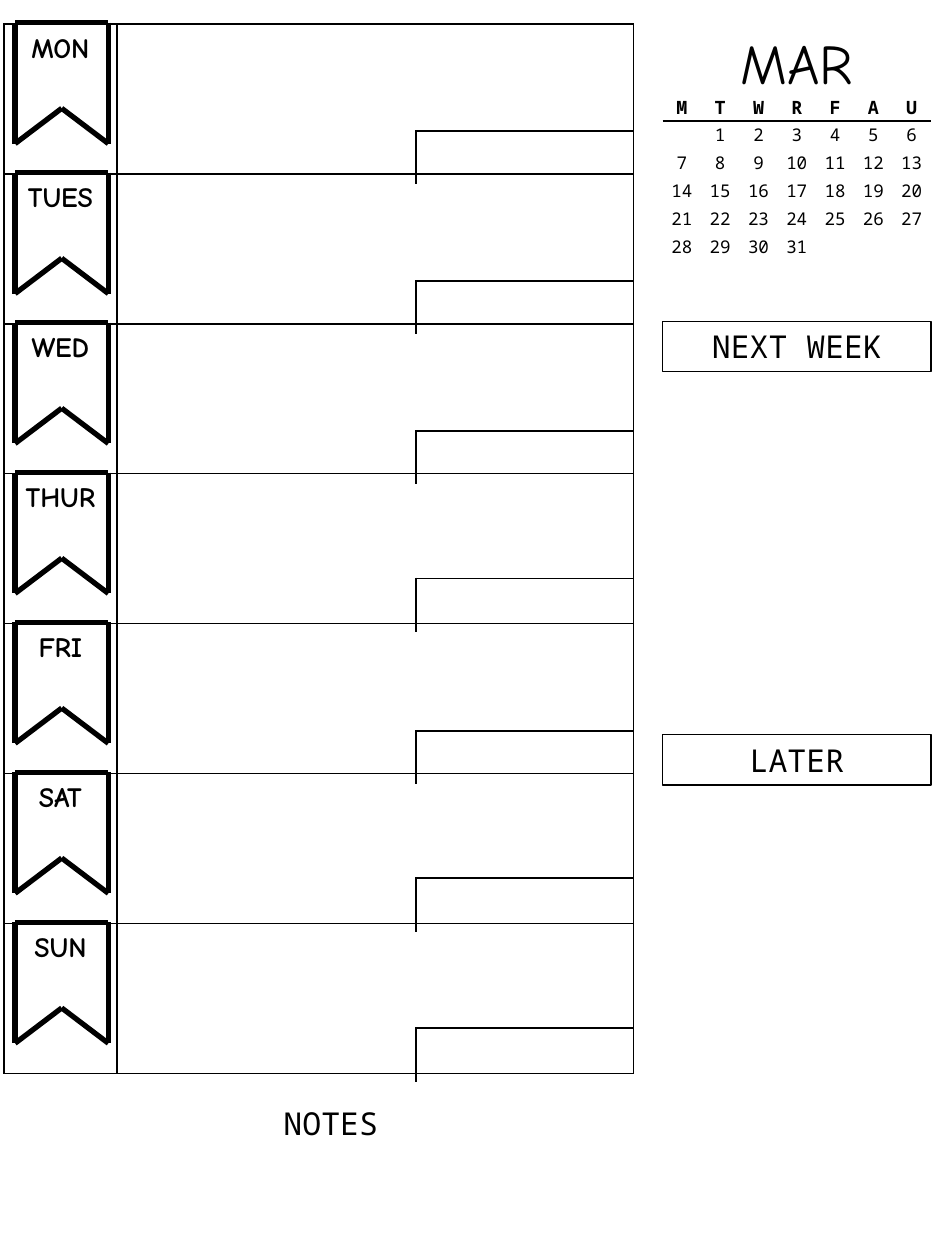
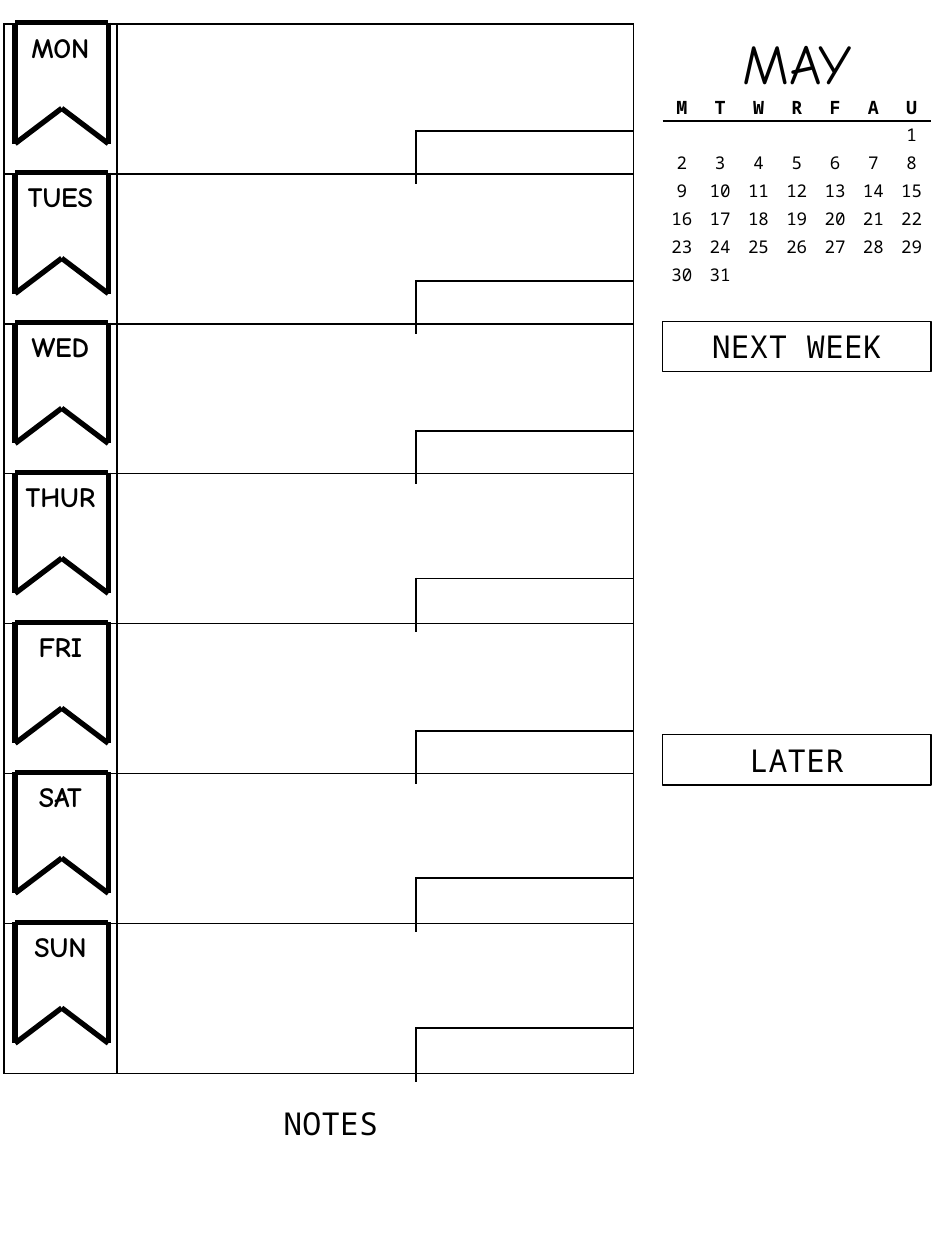
"""Build weekly planner pages, one per month."""
from typing import Any, NamedTuple

from lxml import etree
from pptx import Presentation
from pptx.dml.color import RGBColor
from pptx.enum.shapes import MSO_CONNECTOR, MSO_SHAPE
from pptx.enum.text import MSO_ANCHOR, MSO_AUTO_SIZE, PP_ALIGN
from pptx.oxml.ns import qn
from pptx.util import Inches, Pt

BLACK, WHITE = "000000", "FFFFFF"
HAND, MONO = "Comic Neue", "Noto Sans Mono"
WEEKDAYS = "MTWRFAU"

GRID_LEFT, GRID_TOP, GRID_WIDTH, GRID_HEIGHT = 0.03, 0.19, 5, 8.33
DAY_COLUMN, DAY_STEP = 0.9, 1.19
FLAG_LEFT, FLAG_TOP, FLAG_WIDTH = 0.12, 0.18, 0.74
FLAG_NOTCH, FLAG_HEIGHT = 0.68, 0.96
SLOT_LEFT, SLOT_WIDTH, SLOT_HEIGHT = 3.3, 1.73, 0.35
SIDE_LEFT, SIDE_WIDTH, HEADING_HEIGHT = 5.26, 2.13, 0.4
CALENDAR_TOP, WEEK_HEIGHT = 0.74, 1.33 / 6


class Day(NamedTuple):
    """A weekday label and the top of its corner slot."""
    label: str
    slot_top: float


class Month(NamedTuple):
    """A month, the column of its first day and its length."""
    label: str
    first_column: int
    days: int


class Edge(NamedTuple):
    """Colour and width in points of a cell border."""
    color: str
    width: float


class Style(NamedTuple):
    """Font of a piece of text."""
    font: str
    size: float
    bold: bool = False


DAYS = [Day("MON", 1.04), Day("TUES", 2.23), Day("WED", 3.42), Day("THUR", 4.59),
        Day("FRI", 5.8), Day("SAT", 6.97), Day("SUN", 8.16)]
MONTHS = [Month("MAR", 1, 31), Month("MAY", 6, 31)]

THIN = Edge(BLACK, 1)
GRID_EDGES = dict.fromkeys("LRTB", THIN)
SLOT_EDGES = {"L": THIN, "T": THIN, "R": Edge(WHITE, 1), "B": Edge(WHITE, 3)}
DAY_LABEL = Style(HAND, 16, True)
MONTH_TITLE = Style(HAND, 32)
HEADING = Style(MONO, 18)
WEEKDAY = Style(MONO, 10.5, True)
DATE = Style(MONO, 10)


def rgb(color: str) -> RGBColor:
    """Turn a hex string into a colour."""
    return RGBColor.from_string(color)


def write(frame: Any, text: str, style: Style) -> None:
    """Put one centred run in a text frame."""
    paragraph = frame.paragraphs[0]
    paragraph.alignment = PP_ALIGN.CENTER
    run = paragraph.add_run()
    run.text = text
    font = run.font
    font.name, font.size, font.bold = style.font, Pt(style.size), style.bold
    font.color.rgb = rgb(BLACK)


def add_label(shapes: Any, text: str, style: Style, left: float, top: float,
              width: float, height: float, boxed: bool = False) -> None:
    """Add centred text, with a thin outline if boxed."""
    place = [Inches(v) for v in (left, top, width, height)]
    if boxed:
        shape = shapes.add_shape(MSO_SHAPE.RECTANGLE, *place)
        shape.shadow.inherit = False
        shape.fill.background()
        shape.line.color.rgb = rgb(BLACK)
        shape.line.width = Pt(0.75)
    else:
        shape = shapes.add_textbox(*place)
    frame = shape.text_frame
    frame.word_wrap = True
    frame.auto_size = MSO_AUTO_SIZE.SHAPE_TO_FIT_TEXT
    frame.vertical_anchor = MSO_ANCHOR.TOP
    write(frame, text, style)


def add_line(shapes: Any, start: tuple[float, float], end: tuple[float, float]) -> None:
    """Add a thick black line."""
    line = shapes.add_connector(MSO_CONNECTOR.STRAIGHT,
                                *(Inches(v) for v in (*start, *end)))
    line.line.color.rgb = rgb(BLACK)
    line.line.width = Pt(3)
    etree.SubElement(line._element.spPr, qn("a:effectLst"))


def style_cell(cell: Any, edges: dict[str, Edge]) -> None:
    """Clear a cell's fill and draw only the given borders."""
    properties = cell._tc.get_or_add_tcPr()
    for side in "LRTB":
        edge = edges.get(side)
        border = etree.SubElement(properties, qn(f"a:ln{side}"))
        if edge:
            border.set("w", str(Pt(edge.width)))
            fill = etree.SubElement(border, qn("a:solidFill"))
            etree.SubElement(fill, qn("a:srgbClr"), val=edge.color)
        else:
            etree.SubElement(border, qn("a:noFill"))
    cell.fill.background()


def add_plain_table(shapes: Any, rows: int, columns: int, left: float, top: float,
                    width: float, height: float) -> Any:
    """Add a table without header or banding."""
    table = shapes.add_table(rows, columns, *(Inches(v) for v in (left, top, width, height))).table
    table.first_row = table.horz_banding = False
    return table


def add_slot(shapes: Any, day: Day) -> None:
    """Add the corner slot of a day."""
    table = add_plain_table(shapes, 1, 1, SLOT_LEFT, day.slot_top, SLOT_WIDTH, SLOT_HEIGHT)
    style_cell(table.cell(0, 0), SLOT_EDGES)


def add_flag(shapes: Any, label: str, top: float) -> None:
    """Add a grouped swallowtail flag with its day label."""
    flag = shapes.add_group_shape().shapes
    right, middle = FLAG_LEFT + FLAG_WIDTH, FLAG_LEFT + FLAG_WIDTH / 2
    top_left, top_right = (FLAG_LEFT, top), (right, top)
    tail_left, tail_right = (FLAG_LEFT, top + FLAG_HEIGHT), (right, top + FLAG_HEIGHT)
    notch = (middle, top + FLAG_NOTCH)
    for start, end in [(top_left, top_right), (top_left, tail_left), (top_right, tail_right),
                       (tail_left, notch), (notch, tail_right)]:
        add_line(flag, start, end)
    add_label(flag, label, DAY_LABEL, GRID_LEFT, top + 0.01, DAY_COLUMN, 0.37)


def add_calendar(shapes: Any, month: Month) -> None:
    """Add the month title and its table of dates."""
    add_label(shapes, month.label, MONTH_TITLE, 5.38, 0.18, 1.89, 0.64)
    columns = len(WEEKDAYS)
    weeks = -(-(month.first_column + month.days) // columns)
    table = add_plain_table(shapes, weeks + 1, columns, SIDE_LEFT, CALENDAR_TOP,
                            SIDE_WIDTH, WEEK_HEIGHT * (weeks + 1))
    rule = {0: {"B": THIN}, 1: {"T": THIN}}
    for index, cell in enumerate(table.iter_cells()):
        row, column = divmod(index, columns)
        style_cell(cell, rule.get(row, {}))
        cell.margin_left = cell.margin_right = cell.margin_top = cell.margin_bottom = 0
        cell.vertical_anchor = MSO_ANCHOR.MIDDLE
        date = index - columns - month.first_column + 1
        if row == 0:
            write(cell.text_frame, WEEKDAYS[column], WEEKDAY)
        elif 1 <= date <= month.days:
            write(cell.text_frame, str(date), DATE)
        else:  # keep empty cells from stretching the row
            etree.SubElement(cell.text_frame.paragraphs[0]._p, qn("a:endParaRPr"),
                             sz=str(DATE.size * 100))


def add_week_grid(shapes: Any) -> None:
    """Add the ruled grid with one row per day."""
    table = add_plain_table(shapes, len(DAYS), 2, GRID_LEFT, GRID_TOP, GRID_WIDTH, GRID_HEIGHT)
    table.columns[0].width = Inches(DAY_COLUMN)
    table.columns[1].width = Inches(GRID_WIDTH - DAY_COLUMN)
    for cell in table.iter_cells():
        style_cell(cell, GRID_EDGES)


def add_page(deck: Any, month: Month) -> None:
    """Add one planner page."""
    shapes = deck.slides.add_slide(deck.slide_layouts[6]).shapes
    for day in DAYS:
        add_slot(shapes, day)
    for index, day in enumerate(DAYS):
        add_flag(shapes, day.label, FLAG_TOP + index * DAY_STEP)
    add_calendar(shapes, month)
    for text, top in [("NEXT WEEK", 2.55), ("LATER", 5.83)]:
        add_label(shapes, text, HEADING, SIDE_LEFT, top, SIDE_WIDTH, HEADING_HEIGHT, boxed=True)
    add_label(shapes, "NOTES", HEADING, 1.56, 8.71, SIDE_WIDTH, HEADING_HEIGHT)
    add_week_grid(shapes)


def main() -> None:
    """Build and save the planner."""
    deck = Presentation()
    deck.slide_width, deck.slide_height = Inches(7.5), Inches(10)
    for month in MONTHS:
        add_page(deck, month)
    deck.save("out.pptx")


main()
